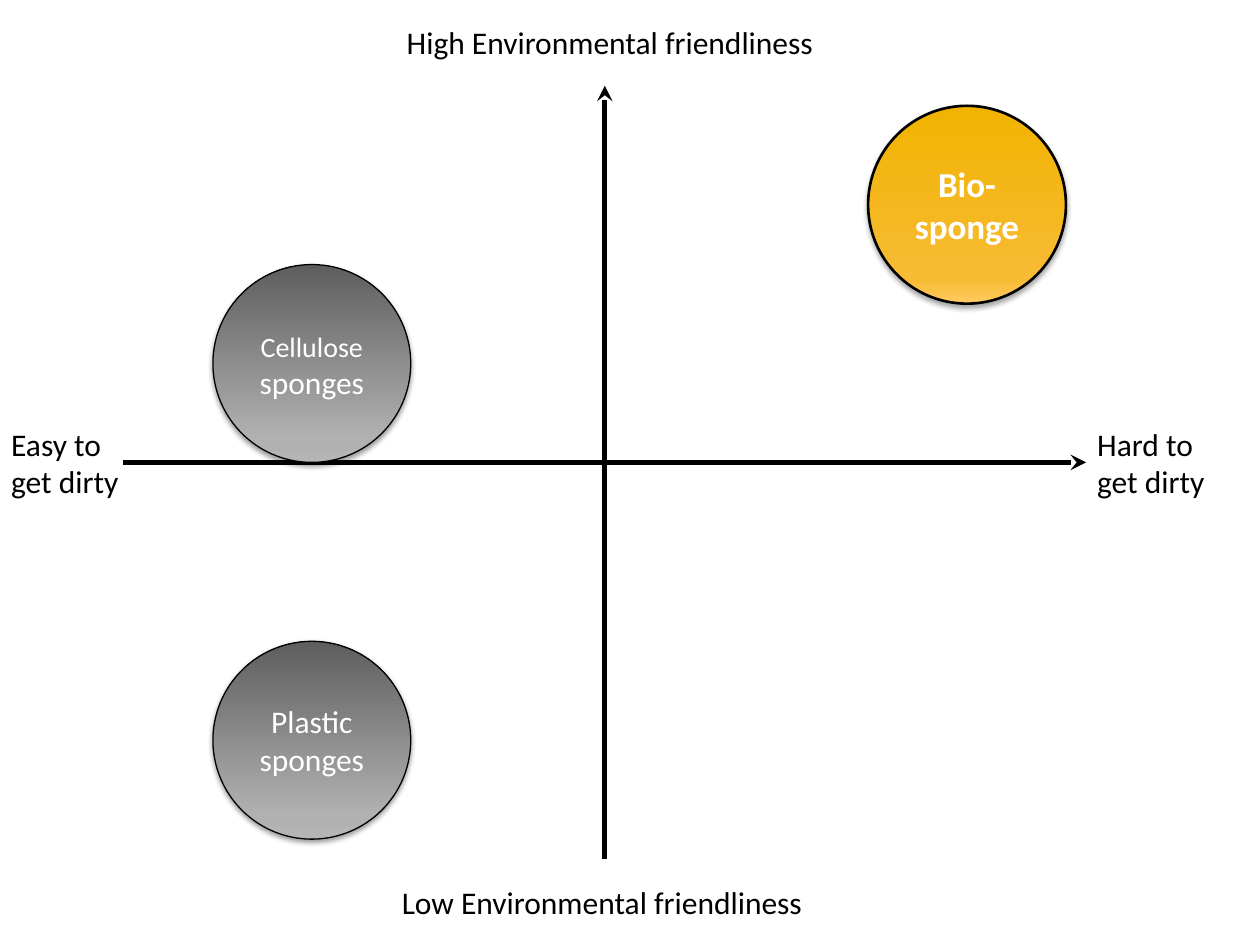
from lxml import etree
from pptx import Presentation
from pptx.dml.color import RGBColor
from pptx.enum import shapes, text
from pptx.oxml import parse_xml
from pptx.oxml.ns import nsdecls, qn
from pptx.util import Inches, Pt

BLACK = RGBColor(0x00, 0x00, 0x00)
WHITE = RGBColor(0xFF, 0xFF, 0xFF)
GREY_STOPS = [(0, RGBColor(0xB5, 0xB5, 0xB5)), (12, RGBColor(0xB1, 0xB1, 0xB1)),
              (100, RGBColor(0x5E, 0x5E, 0x5E))]
GOLD_STOPS = [(0, RGBColor(0xFF, 0xCB, 0x61)), (12, RGBColor(0xF7, 0xBB, 0x34)),
              (100, RGBColor(0xF2, 0xB3, 0x00))]

AXES = [((0.98, 3.67), (8.62, 3.67)), ((4.8, 6.82), (4.8, 0.68))]
LABELS = [
    ("Low Environmental friendliness", 3.09, 6.96, 3.42, 0.4),
    ("High Environmental friendliness", 3.13, 0.13, 3.46, 0.4),
    ("Easy to get dirty", -0.01, 3.32, 1.07, 0.71),
    ("Hard to get dirty", 8.61, 3.32, 1.07, 0.71),
]
DIAMETER = 1.57
GREY_STYLE = {"stops": GREY_STOPS, "line": 0.75, "alpha": 38, "distance": 1.6, "bold": False}
GOLD_STYLE = {"stops": GOLD_STOPS, "line": 1.5, "alpha": 35, "distance": 1.8, "bold": True}
PRODUCTS = [
    (1.69, 5.09, [[("Plastic sponges", 18)]], GREY_STYLE),
    (1.69, 2.1, [[("Cellulose", 16), (" sponges", 18)]], GREY_STYLE),
    (6.89, 0.84, [[("Bio-", 20)], [("sponge", 20)]], GOLD_STYLE),
]


def add_run(paragraph, words, size, color, bold=False):
    run = paragraph.add_run()
    run.text = words
    run.font.color.rgb = color
    for name, value in {"name": "Calibri", "size": Pt(size), "bold": bold}.items():
        setattr(run.font, name, value)


def add_axis(slide, start, end):
    axis = slide.shapes.add_connector(
        shapes.MSO_CONNECTOR.STRAIGHT, *map(Inches, start + end))
    axis.line.color.rgb = BLACK
    axis.line.width = Pt(3)
    etree.SubElement(axis.line._get_or_add_ln(), qn("a:tailEnd"), type="stealth")
    etree.SubElement(axis._element.spPr, qn("a:effectLst"))


def add_label(slide, words, *box):
    label = slide.shapes.add_textbox(*map(Inches, box))
    frame = label.text_frame
    frame.word_wrap = True
    frame.auto_size = text.MSO_AUTO_SIZE.SHAPE_TO_FIT_TEXT
    add_run(frame.paragraphs[0], words, 18, BLACK)


def apply_gradient(shape, stops):
    shape.fill.gradient()
    shape.fill.gradient_angle = 90
    stop_list = shape._element.spPr.find(".//" + qn("a:gsLst"))
    stop_list.clear()
    for position, color in stops:
        stop = etree.SubElement(stop_list, qn("a:gs"), pos=str(position * 1000))
        etree.SubElement(stop, qn("a:srgbClr"), val=str(color))


def apply_shadow(shape, alpha, distance):
    shape._element.spPr.append(parse_xml(
        f'<a:effectLst {nsdecls("a")}>'
        f'<a:outerShdw blurRad="{Pt(3.1)}" dist="{Pt(distance)}" dir="5400000" rotWithShape="0">'
        f'<a:srgbClr val="{BLACK}"><a:alpha val="{alpha * 1000}"/></a:srgbClr>'
        '</a:outerShdw></a:effectLst>'))


def add_product(slide, left, top, lines, style):
    circle = slide.shapes.add_shape(
        shapes.MSO_SHAPE.OVAL, *map(Inches, (left, top, DIAMETER, DIAMETER)))
    apply_gradient(circle, style["stops"])
    circle.line.color.rgb = BLACK
    circle.line.width = Pt(style["line"])
    apply_shadow(circle, style["alpha"], style["distance"])
    frame = circle.text_frame
    frame.word_wrap = True
    frame.vertical_anchor = text.MSO_ANCHOR.MIDDLE
    for index, runs in enumerate(lines):
        paragraph = frame.add_paragraph() if index else frame.paragraphs[0]
        paragraph.alignment = text.PP_ALIGN.CENTER
        for words, size in runs:
            add_run(paragraph, words, size, WHITE, style["bold"])


def main():
    presentation = Presentation()
    presentation.slide_width = Inches(10)
    presentation.slide_height = Inches(7.5)
    slide = presentation.slides.add_slide(presentation.slide_layouts[6])
    for axis in AXES:
        add_axis(slide, *axis)
    for label in LABELS:
        add_label(slide, *label)
    for product in PRODUCTS:
        add_product(slide, *product)
    presentation.save("out.pptx")


if __name__ == "__main__":
    main()
